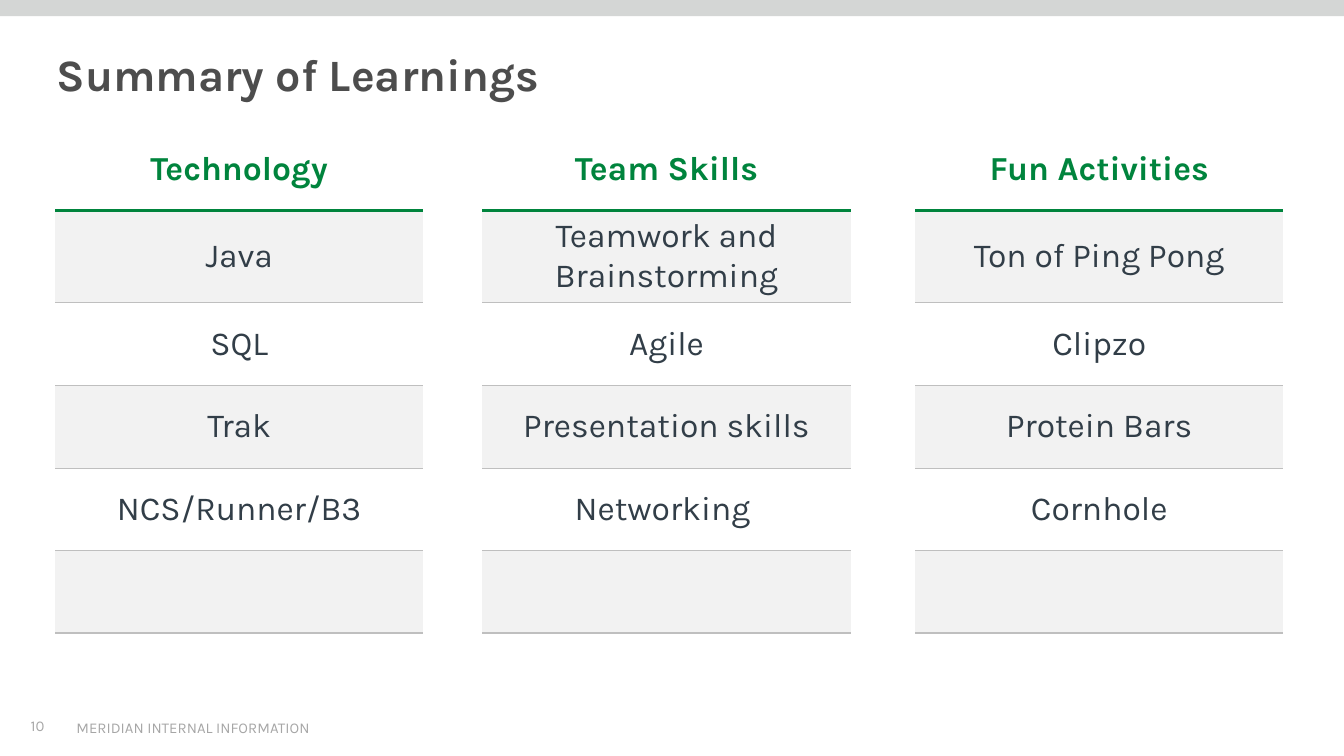
import pptx
import pptx.util
import pptx.oxml
import pptx.dml.color
import pptx.enum.text
import pptx.enum.shapes

Inches, Pt = pptx.util.Inches, pptx.util.Pt
ALIGN, ANCHOR = pptx.enum.text.PP_ALIGN, pptx.enum.text.MSO_ANCHOR

# Content
TITLE = "Summary of Learnings"
FOOTER = "MERIDIAN INTERNAL INFORMATION"
PAGE_NUMBER = "10"
LEARNINGS = {
    "Technology": ["Java", "SQL", "Trak", "NCS/Runner/B3", ""],
    "Team Skills": ["Teamwork and Brainstorming", "Agile",
                    "Presentation skills", "Networking ", ""],
    "Fun Activities": ["Ton of Ping Pong", "Clipzo", "Protein Bars", "Cornhole", ""],
}

# Look
COLOURS = {"bar": "D4D6D5", "title": "4D4D4D", "small": "A6A6A6", "green": "00843D",
           "body": "323E48", "band": "F2F2F2", "rule": "BFBFBF"}
FORMATS = {
    "title": {"size": Pt(24), "bold": True},
    "small": {"size": Pt(8), "bold": False},
    "green": {"size": Pt(18), "bold": True},
    "body": {"size": Pt(18), "bold": False},
}
COLUMN_WIDTHS = [2.74, 0.44, 2.74, 0.48, 2.74]
TABLE_HEIGHT = 3.69  # the two-line row grows beyond its equal share
NO_GRID_STYLE = "{2D5ABB26-0587-4C30-8999-92F81FD0307C}"
NAMESPACE = 'xmlns:a="http://schemas.openxmlformats.org/drawingml/2006/main"'


def colour(name):
    return pptx.dml.color.RGBColor.from_string(COLOURS[name])


def write(frame, text, look, align=ALIGN.LEFT):
    para = frame.paragraphs[0]
    para.alignment = align
    span = para.add_run()
    span.text = text
    span.font.name = "Karla"
    span.font.color.rgb = colour(look)
    for name, value in FORMATS[look].items():
        setattr(span.font, name, value)
    return para


def add_small_text(page, place, text, align, anchor):
    box = page.shapes.add_textbox(*map(Inches, place))
    box.text_frame.word_wrap = True
    box.text_frame.vertical_anchor = anchor
    write(box.text_frame, text, "small", align)


def add_borders(cell, borders):
    """Put (side, colour, points) lines ahead of the cell's fill."""
    properties = cell._tc.get_or_add_tcPr()
    for position, (side, name, points) in enumerate(borders):
        properties.insert(position, pptx.oxml.parse_xml(
            f'<a:ln{side} {NAMESPACE} w="{Pt(points)}"><a:solidFill>'
            f'<a:srgbClr val="{COLOURS[name]}"/></a:solidFill></a:ln{side}>'))


def add_learnings_table(page):
    row_count = 1 + max(map(len, LEARNINGS.values()))
    table = page.shapes.add_table(
        row_count, len(COLUMN_WIDTHS), Inches(0.41), Inches(0.95),
        Inches(sum(COLUMN_WIDTHS)), Inches(TABLE_HEIGHT)).table
    table.first_row = table.horz_banding = False
    table._tbl.tblPr[0].text = NO_GRID_STYLE
    for column, width in zip(table.columns, COLUMN_WIDTHS):
        column.width = Inches(width)

    # Line below each row; the line above a row is the one below its predecessor
    lines = [("green", 2.25)] + [("rule", 0.5)] * (row_count - 2) + [("rule", 1.5)]
    for group, (heading, items) in enumerate(LEARNINGS.items()):
        for row, text in enumerate([heading] + items):
            cell = table.cell(row, 2 * group)  # odd columns are gaps
            cell.vertical_anchor = ANCHOR.MIDDLE
            if text:
                write(cell.text_frame, text, "body" if row else "green", ALIGN.CENTER)
            if row % 2:
                cell.fill.solid()
                cell.fill.fore_color.rgb = colour("band")
            above = [("T", *lines[row - 1])] if row else []
            add_borders(cell, above + [("B", *lines[row])])


def main():
    deck = pptx.Presentation()
    deck.slide_width = Inches(10)
    deck.slide_height = deck.slide_width * 9 // 16
    page = deck.slides.add_slide(deck.slide_layouts[5])

    # Top bar
    bar = page.shapes.add_shape(pptx.enum.shapes.MSO_SHAPE.RECTANGLE,
                                0, 0, deck.slide_width, Inches(0.12))
    bar.shadow.inherit = False
    bar.fill.solid()
    bar.fill.fore_color.rgb = colour("bar")
    bar.line.fill.background()

    # Title
    title = page.shapes.title
    place = {"left": 0.32, "top": 0.28, "width": 9.32, "height": 0.82}
    for name, value in place.items():
        setattr(title, name, Inches(value))
    title.text_frame.vertical_anchor = ANCHOR.TOP
    title.text_frame.auto_size = pptx.enum.text.MSO_AUTO_SIZE.NONE
    write(title.text_frame, TITLE, "title").line_spacing = Pt(30)

    # Table and footer
    add_learnings_table(page)
    add_small_text(page, (0.47, 5.3, 4.51, 0.34), FOOTER, ALIGN.LEFT, ANCHOR.TOP)
    add_small_text(page, (-0.08, 5.25, 0.51, 0.3), PAGE_NUMBER, ALIGN.RIGHT, ANCHOR.MIDDLE)
    deck.save("out.pptx")


if __name__ == "__main__":
    main()
